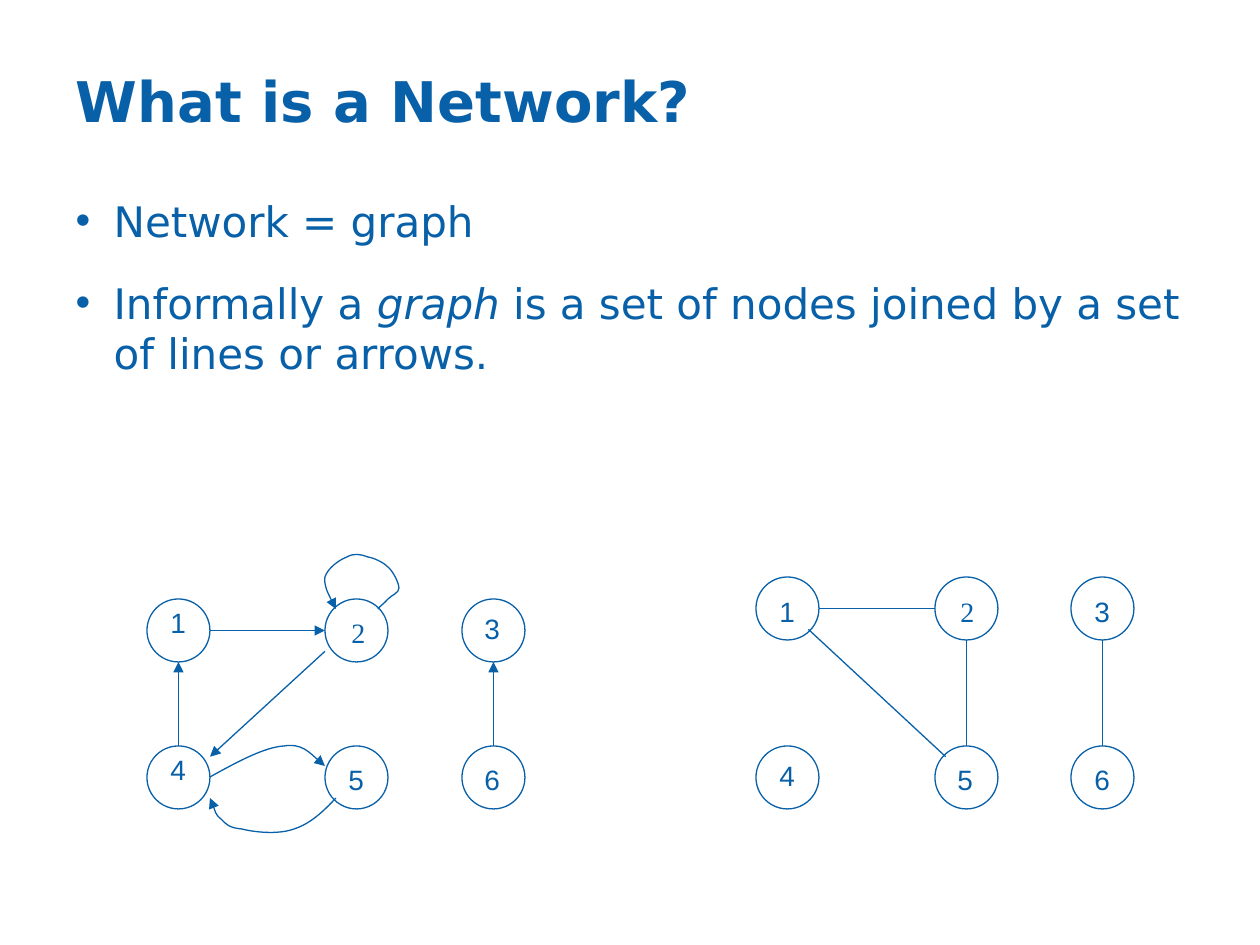
"""Builds a slide that introduces networks with a directed and an undirected graph."""
from pptx import Presentation
from pptx.dml.color import RGBColor
from pptx.enum.shapes import MSO_CONNECTOR, MSO_SHAPE
from pptx.enum.text import MSO_AUTO_SIZE, PP_ALIGN
from pptx.oxml.ns import qn
from pptx.oxml.xmlchemy import OxmlElement
from pptx.util import Pt

BLUE = RGBColor(0x08, 0x60, 0xA8)
STRAIGHT = MSO_CONNECTOR.STRAIGHT
ELLIPSE = MSO_SHAPE.OVAL
LEFT = PP_ALIGN.LEFT
FIXED_SIZE = MSO_AUTO_SIZE.NONE
FIT_SHAPE = MSO_AUTO_SIZE.SHAPE_TO_FIT_TEXT
HEADING_FONT, LABEL_FONT, SERIF_FONT = "DejaVu Sans", "Arial", "Times New Roman"
EMU_PER_PX = 914400 / 126

TITLE = "What is a Network?"
BULLETS = [
    [("Network = graph", False)],
    [("Informally a ", False), ("graph", True),
     (" is a set of nodes joined by a set of lines or arrows.", False)],
]
NODE_SIZE = 63
LABEL_SIZE = (40, 47)
SITES = {
    "top": (0.5, 0), "bottom": (0.5, 1), "left": (0, 0.5), "right": (1, 0.5),
    "low left": (0, 0.83), "high right": (1, 0.17),
    "bottom right": (0.83, 0.83), "top left": (0.17, 0.17),
}
GRAPHS = [
    {"columns": (147, 325, 462), "rows": (599, 746), "arrows": True,
     "label_offsets": [(11, 0), (14, 10), (10, 6), (11, 0), (11, 10), (10, 10)],
     "edges": [(4, "top", 1, "bottom"), (1, "right", 2, "left"),
               (2, "low left", 4, "high right"), (6, "top", 3, "bottom")]},
    {"columns": (756, 935, 1071), "rows": (577, 746), "arrows": False,
     "label_offsets": [(11, 11), (13, 11), (11, 11), (11, 6), (10, 10), (11, 10)],
     "edges": [(1, "bottom right", 5, "top left"), (1, "right", 2, "left"),
               (5, "top", 2, "bottom"), (6, "top", 3, "bottom")]},
]
CURVES = [
    ("headEnd", [(336, 609), (330, 597), (324, 586), (325, 577), (328, 568), (339, 560),
                 (347, 557), (354, 553), (360, 554), (368, 557), (374, 558), (383, 562),
                 (388, 567), (393, 571), (399, 583), (399, 588), (399, 593), (392, 595),
                 (388, 599), (386, 602), (379, 607), (378, 609)]),
    ("tailEnd", [(210, 777), (237, 762), (265, 747), (284, 746), (302, 743), (319, 761),
                 (325, 766)]),
    ("tailEnd", [(336, 798), (323, 812), (310, 824), (294, 829), (278, 835), (253, 832),
                 (242, 829), (229, 828), (226, 824), (221, 819), (215, 814), (212, 801),
                 (210, 798)]),
]


def px(*lengths):
    return [round(length * EMU_PER_PX) for length in lengths]


def place(shape, *box):
    shape.left, shape.top, shape.width, shape.height = px(*box)


def write(paragraph, text, font=HEADING_FONT, size=24, bold=False, italic=False):
    run = paragraph.add_run()
    run.text = text
    run.font.name = font
    run.font.size = Pt(size)
    run.font.bold = bold
    run.font.italic = italic
    run.font.color.rgb = BLUE


def style_line(shape, arrow=None):
    shape.line.color.rgb = BLUE
    shape.line.width = Pt(0.75)
    if arrow:
        end = OxmlElement(f"a:{arrow}")
        end.set("type", "triangle")
        shape.line._get_or_add_ln().append(end)


def add_node(slide, left, top):
    node = slide.shapes.add_shape(ELLIPSE, *px(left, top, NODE_SIZE, NODE_SIZE))
    node.shadow.inherit = False
    node.fill.background()
    style_line(node)


def add_edge(slide, start, end, arrow):
    edge = slide.shapes.add_connector(STRAIGHT, *px(*start, *end))
    style_line(edge, arrow)
    edge._element.spPr.append(OxmlElement("a:effectLst"))


def add_curve(slide, arrow, points):
    start, *others = [px(*point) for point in points]
    builder = slide.shapes.build_freeform(*start)
    builder.add_line_segments(others, close=False)
    curve = builder.convert_to_shape()
    curve.shadow.inherit = False
    curve.fill.background()
    style_line(curve, arrow)
    segments = list(curve._element.iter(qn("a:lnTo")))
    for first in range(0, len(segments), 3):
        bezier = OxmlElement("a:cubicBezTo")
        segments[first].addprevious(bezier)
        for segment in segments[first:first + 3]:
            bezier.append(segment[0])
            segment.getparent().remove(segment)


def add_label(slide, number, left, top):
    label = slide.shapes.add_textbox(*px(left, top, *LABEL_SIZE))
    label.text_frame.word_wrap = False
    label.text_frame.auto_size = FIT_SHAPE
    font = SERIF_FONT if number == 2 else LABEL_FONT
    write(label.text_frame.paragraphs[0], str(number), font=font, size=16)


def add_graph(slide, graph):
    corners = [(left, top) for top in graph["rows"] for left in graph["columns"]]

    def site(number, name):
        return [corner + NODE_SIZE * part
                for corner, part in zip(corners[number - 1], SITES[name])]

    for corner in corners:
        add_node(slide, *corner)
    for source, source_site, target, target_site in graph["edges"]:
        add_edge(slide, site(source, source_site), site(target, target_site),
                 "tailEnd" if graph["arrows"] else None)
    for number, (corner, offset) in enumerate(zip(corners, graph["label_offsets"]), 1):
        add_label(slide, number, corner[0] + offset[0], corner[1] + offset[1])


def add_text(slide):
    title, body = slide.placeholders
    place(title, 63, 67, 1135, 66)
    title.text_frame.auto_size = FIXED_SIZE
    heading = title.text_frame.paragraphs[0]
    heading.alignment = LEFT
    write(heading, TITLE, size=32, bold=True)

    place(body, 63, 189, 1135, 599)
    body.text_frame.auto_size = FIXED_SIZE
    for index, runs in enumerate(BULLETS):
        paragraph = body.text_frame.add_paragraph() if index else body.text_frame.paragraphs[0]
        paragraph.space_before = Pt(18 if index else 0)
        indent = px(38)[0]
        properties = paragraph._p.get_or_add_pPr()
        properties.set("marL", str(indent))
        properties.set("indent", str(-indent))
        for text, italic in runs:
            write(paragraph, text, italic=italic)


def main():
    presentation = Presentation()
    presentation.slide_width, presentation.slide_height = px(1260, 945)
    slide = presentation.slides.add_slide(presentation.slide_layouts[1])
    add_text(slide)
    for graph in GRAPHS:
        add_graph(slide, graph)
    for arrow, points in CURVES:
        add_curve(slide, arrow, points)
    presentation.save("out.pptx")


if __name__ == "__main__":
    main()
